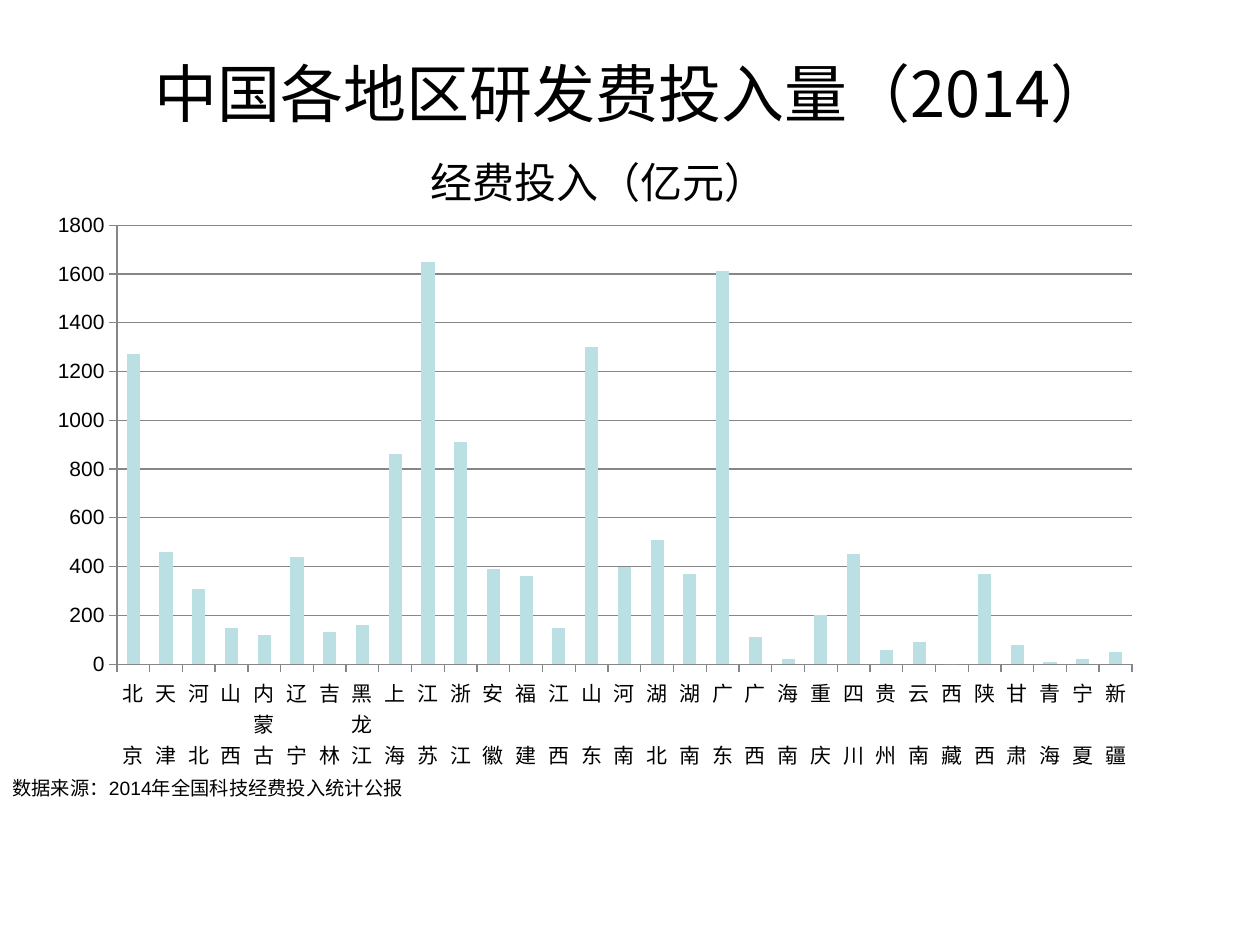
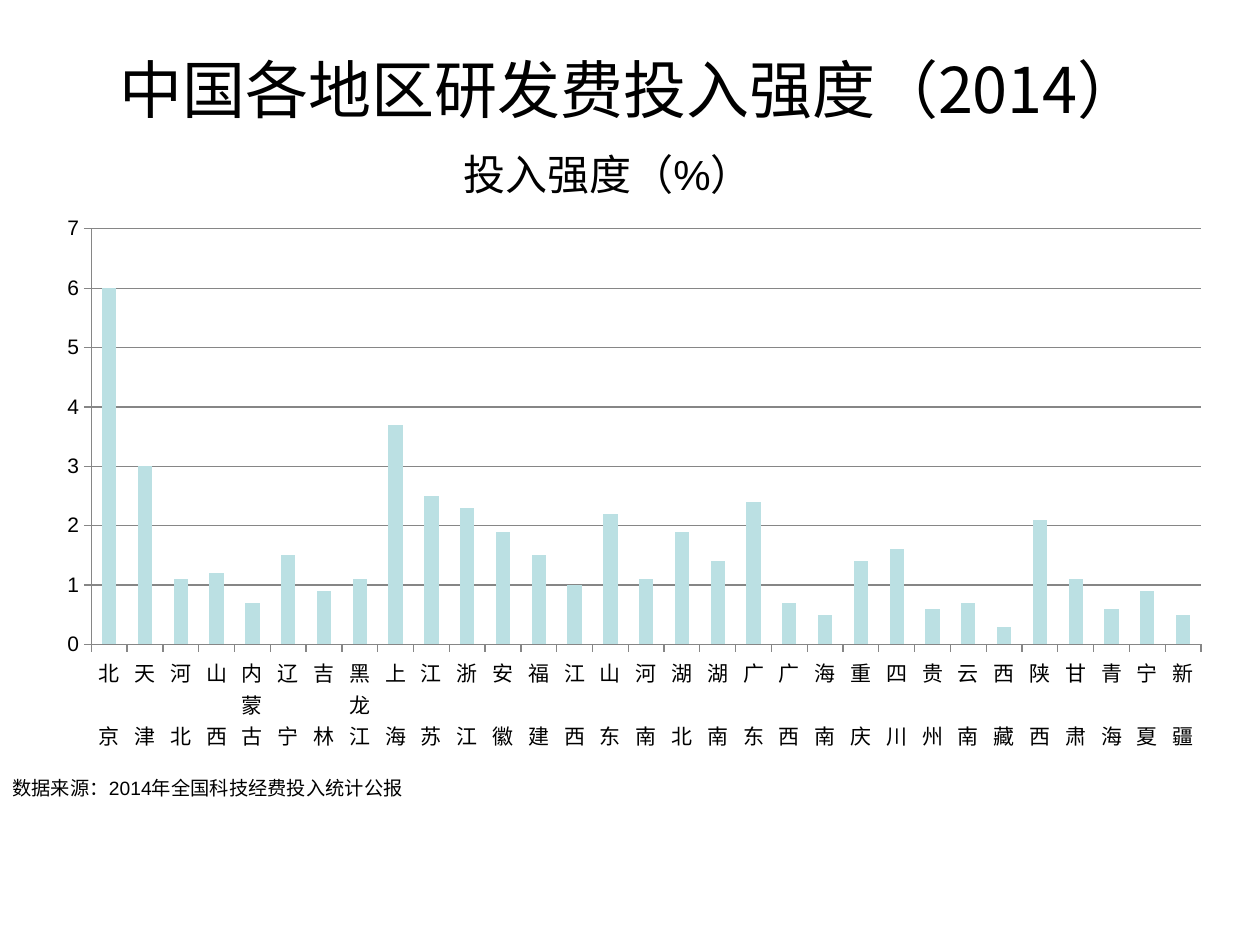
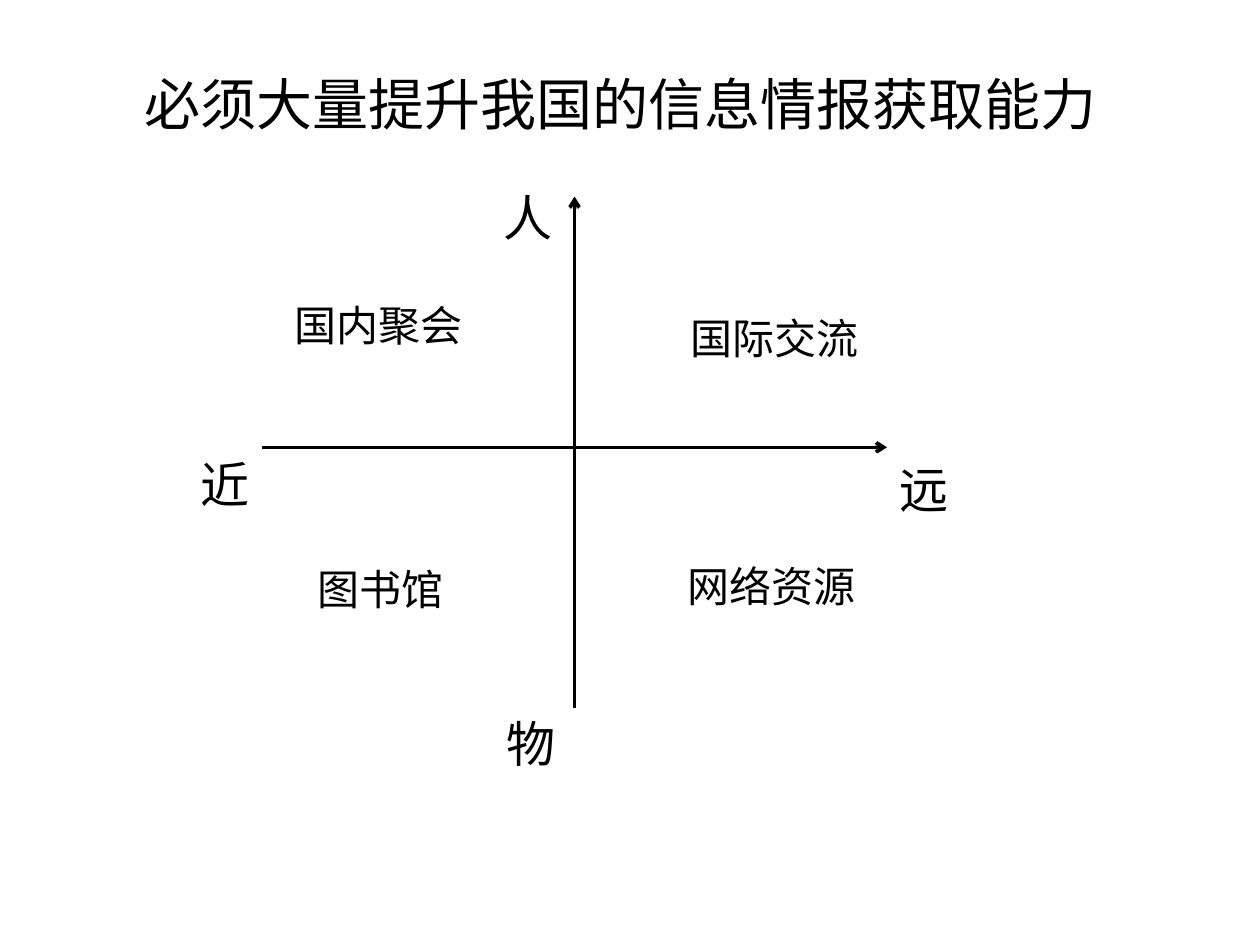
from dataclasses import dataclass

from lxml.etree import SubElement
from pptx import Presentation
from pptx.chart.data import CategoryChartData
from pptx.dml.color import RGBColor
from pptx.enum.chart import XL_CHART_TYPE, XL_TICK_MARK
from pptx.enum.shapes import MSO_CONNECTOR
from pptx.enum.text import MSO_ANCHOR, PP_ALIGN
from pptx.oxml import parse_xml
from pptx.oxml.ns import nsdecls, qn
from pptx.util import Inches, Pt


@dataclass(frozen=True)
class Theme:
    ink: RGBColor = RGBColor(0x00, 0x00, 0x00)
    bar: RGBColor = RGBColor(0xBB, 0xE0, 0xE3)
    grid: RGBColor = RGBColor(0x86, 0x86, 0x86)
    latin: str = "Arial"
    cjk: str = "Noto Sans CJK SC"
    title: int = 36
    long_title: int = 32
    end_label: int = 28
    label: int = 24
    axis: int = 12
    source: int = 11


T = Theme()

REGIONS = (
    "北京 天津 河北 山西 内蒙古 辽宁 吉林 黑龙江 上海 江苏 浙江 安徽 福建 江西 山东 河南 "
    "湖北 湖南 广东 广西 海南 重庆 四川 贵州 云南 西藏 陕西 甘肃 青海 宁夏 新疆"
).split()
SPENDING = [1270, 460, 310, 150, 120, 440, 130, 160, 860, 1650, 910, 390, 360, 150, 1300, 400,
            510, 370, 1610, 110, 20, 200, 450, 60, 90, 0, 370, 80, 10, 20, 50]
INTENSITY = [6, 3, 1.1, 1.2, 0.7, 1.5, 0.9, 1.1, 3.7, 2.5, 2.3, 1.9, 1.5, 1, 2.2, 1.1,
             1.9, 1.4, 2.4, 0.7, 0.5, 1.4, 1.6, 0.6, 0.7, 0.3, 2.1, 1.1, 0.6, 0.9, 0.5]


def add_text(slide, text, box, size=T.label, font=T.latin, align=PP_ALIGN.LEFT,
             anchor=MSO_ANCHOR.TOP, wrap=True):
    sp = slide.shapes.add_textbox(*map(Inches, box))
    tf = sp.text_frame
    tf.word_wrap = wrap
    tf.vertical_anchor = anchor
    p = tf.paragraphs[0]
    p.alignment = align
    r = p.add_run()
    r.text = text
    r.font.size = Pt(size)
    r.font.name = font
    r.font.color.rgb = T.ink
    SubElement(r._r.get_or_add_rPr(), qn("a:ea")).set("typeface", T.cjk)
    return sp


def add_title(slide, text, box, size=T.title, font=T.cjk):
    add_text(slide, text, box, size, font, PP_ALIGN.CENTER, MSO_ANCHOR.MIDDLE)


def set_plot_area(chart, plot):
    """Fix the inner plot area, in fractions of the chart."""
    area = chart._chartSpace.chart.plotArea
    for old in area.findall(qn("c:layout")):
        area.remove(old)
    modes = '<c:xMode val="edge"/><c:yMode val="edge"/>'
    sizes = "".join(f'<c:{k} val="{v}"/>' for k, v in zip("xywh", plot))
    area.insert(0, parse_xml(
        f'<c:layout {nsdecls("c")}><c:manualLayout><c:layoutTarget val="inner"/>'
        f"{modes}{sizes}</c:manualLayout></c:layout>"))


def keep_labels_level(axis):
    """Let long labels wrap instead of turning."""
    body = axis._element.find(qn("c:txPr")).find(qn("a:bodyPr"))
    body.set("rot", "0")
    body.set("vert", "horz")


def add_columns(slide, name, values, box, plot, top, step):
    data = CategoryChartData()
    # Two-character names are spread to the width of three
    data.categories = ["　".join(n) if len(n) == 2 else n for n in REGIONS]
    data.add_series(name, values)
    chart = slide.shapes.add_chart(
        XL_CHART_TYPE.COLUMN_CLUSTERED, *map(Inches, box), data).chart
    chart.has_title = False
    chart.has_legend = False
    chart.font.name = T.latin
    chart.font.size = Pt(T.axis)
    chart.font.color.rgb = T.ink

    columns = chart.plots[0]
    columns.gap_width = 150
    columns.vary_by_categories = False
    fill = columns.series[0].format.fill
    fill.solid()
    fill.fore_color.rgb = T.bar

    axis = chart.value_axis
    axis.minimum_scale, axis.maximum_scale, axis.major_unit = 0, top, step
    axis.has_major_gridlines = True
    for part in (axis, chart.category_axis, axis.major_gridlines):
        part.format.line.color.rgb = T.grid
        part.format.line.width = Pt(0.75)
    for ax in (axis, chart.category_axis):
        ax.major_tick_mark = XL_TICK_MARK.OUTSIDE
        ax.tick_labels.font.size = Pt(T.axis)
    keep_labels_level(chart.category_axis)
    set_plot_area(chart, plot)


def chart_slide(prs, title, title_at, caption, caption_box, values, box, plot, top, step):
    slide = prs.slides.add_slide(prs.slide_layouts[6])
    add_title(slide, title, (*title_at, 9, 0.87))
    add_text(slide, "数据来源：2014年全国科技经费投入统计公报", (0, 6.11, 3.32, 0.29), T.source)
    add_columns(slide, caption, values, box, plot, top, step)
    add_text(slide, caption, caption_box)


def add_arrow(slide, start, end):
    line = slide.shapes.add_connector(MSO_CONNECTOR.STRAIGHT, *map(Inches, (*start, *end)))
    line.line.color.rgb = T.ink
    line.line.width = Pt(2)
    SubElement(line.line._get_or_add_ln(), qn("a:tailEnd")).set("type", "arrow")
    SubElement(line._element.spPr, qn("a:effectLst"))


def add_quadrants(slide, box):
    x, y, w, h = box
    axis_x, axis_y = x + w / 2, y + 1.99

    # Axes
    add_arrow(slide, (axis_x, y + h), (axis_x, y))
    add_arrow(slide, (x, axis_y), (x + w, axis_y))

    # Axis ends and quadrants, offset from the crossing
    ends = [("近", -3.07, 0.01, 0.59), ("远", 2.48, 0.05, 0.59),
            ("物", -0.64, 2.06, 0.61), ("人", -0.66, -2.11, 0.66)]
    quadrants = [("国际交流", 0.82, -1.12, 1.55), ("国内聚会", -2.32, -1.22, 1.56),
                 ("网络资源", 0.8, 0.85, 1.55), ("图书馆", -2.14, 0.87, 1.21)]
    for labels, size, height in ((ends, T.end_label, 0.57), (quadrants, T.label, 0.5)):
        for text, dx, dy, width in labels:
            add_text(slide, text, (axis_x + dx, axis_y + dy, width, height), size, wrap=False)


def quadrant_slide(prs):
    slide = prs.slides.add_slide(prs.slide_layouts[6])
    add_title(slide, "必须大量提升我国的信息情报获取能力", (0.43, 0.25, 9, 1.13),
              T.long_title, T.latin)
    add_quadrants(slide, (2.08, 1.56, 4.96, 4.06))


def main():
    prs = Presentation()
    prs.slide_width, prs.slide_height = Inches(10), Inches(7.5)
    chart_slide(prs, "中国各地区研发费投入量（2014）", (0.53, 0.3),
                "经费投入（亿元）", (3.32, 1.19, 3.74, 0.5), SPENDING,
                (0.28, 1.7, 9.26, 4.41), (0.07, 0.02, 0.87, 0.8), 1800, 200)
    chart_slide(prs, "中国各地区研发费投入强度（2014）", (0.5, 0.27),
                "投入强度（%）", (3.58, 1.13, 3.13, 0.5), INTENSITY,
                (0.35, 1.64, 9.37, 4.4), (0.04, 0.04, 0.94, 0.75), 7, 1)
    quadrant_slide(prs)
    prs.save("out.pptx")


if __name__ == "__main__":
    main()
